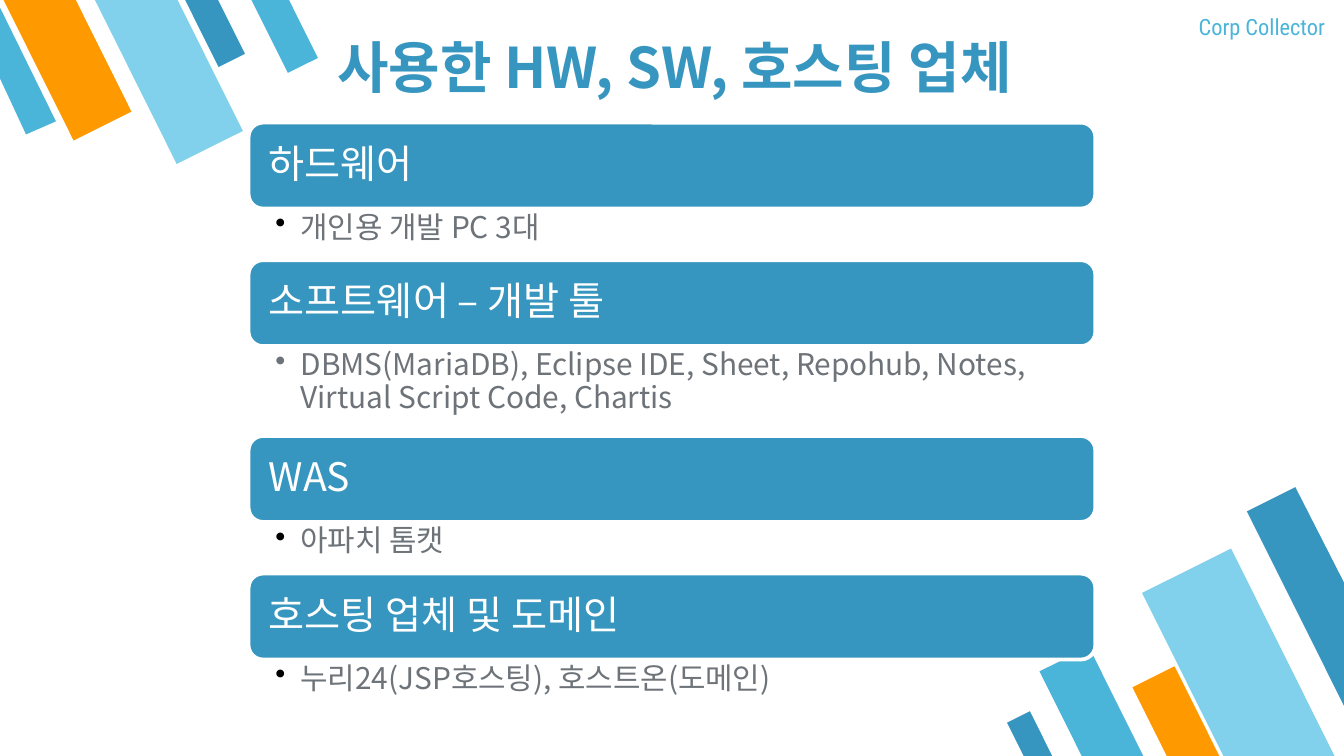
from lxml import etree
from pptx import Presentation
from pptx.dml.color import RGBColor
from pptx.enum import shapes, text
from pptx.oxml import ns
from pptx.util import Pt

BLUE = RGBColor(0x37, 0x96, 0xBF)
SKY = RGBColor(0x4B, 0xB5, 0xD9)
PALE = RGBColor(0x81, 0xD1, 0xEC)
ORANGE = RGBColor(0xFF, 0x99, 0x00)
GREY = RGBColor(0x6D, 0x73, 0x78)
WHITE = RGBColor(0xFF, 0xFF, 0xFF)
BLACK = RGBColor(0x00, 0x00, 0x00)
SANS = "Noto Sans CJK KR"


def paint(sp, color):
    """Give a shape a plain fill without outline or shadow."""
    sp.shadow.inherit = False
    sp.fill.solid()
    sp.fill.fore_color.rgb = color
    sp.line.fill.background()


def write(sp, words, size, color, font=SANS, bold=False, insets=(7.2,) * 4,
          anchor=text.MSO_ANCHOR.TOP, align=text.PP_ALIGN.LEFT):
    """Put one formatted paragraph in a shape; insets run left, top, right, bottom."""
    tf = sp.text_frame
    frame = {"word_wrap": True, "auto_size": text.MSO_AUTO_SIZE.NONE, "vertical_anchor": anchor}
    for name, value in frame.items():
        setattr(tf, name, value)
    for side, inset in zip(("left", "top", "right", "bottom"), insets):
        setattr(tf, "margin_" + side, Pt(inset))
    p = tf.paragraphs[0]
    p.alignment = align
    r = p.add_run()
    r.text = words
    for name, value in {"name": font, "size": Pt(size), "bold": bold}.items():
        setattr(r.font, name, value)
    r.font.color.rgb = color
    etree.SubElement(r.font._element, ns.qn("a:ea"), typeface=font)
    return p


prs = Presentation()
prs.slide_width, prs.slide_height = Pt(720), Pt(405)
s = prs.slides.add_slide(prs.slide_layouts[5])

# Slanted bars in two corners: left, top, width, height, rotation, colour
bars = [
    (107.3, -5.8, 15.8, 40.3, 333.5, BLUE),
    (18.7, -13, 34.6, 85, 333.5, ORANGE),
    (70.6, -14.4, 39.6, 98.6, 333.5, PALE),
    (143.3, -7.2, 18, 44.6, 333.5, SKY),
    (571.7, 349.2, 29.5, 73.4, 153.5, SKY),
    (638.6, 298.8, 53.3, 132.5, 153.5, PALE),
    (619.2, 359.3, 25.2, 61.9, 153.5, ORANGE),
    (546.5, 382.3, 13.7, 34.6, 153.5, BLUE),
]
for *box, angle, color in bars:
    sp = s.shapes.add_shape(shapes.MSO_SHAPE.FLOWCHART_MANUAL_INPUT, *map(Pt, box))
    sp.rotation = angle
    sp._element.spPr.find(ns.qn("a:xfrm")).set("flipH", "1")
    paint(sp, color)

# Bars cut off by the slide edge
edge_bars = [
    (SKY, [(14.4, 72), (30.2, 64.8), (0, 4.3), (0, 42.5)]),
    (BLUE, [(694, 260.6), (668.2, 273.6), (720, 378), (720, 312.5)]),
]
for color, points in edge_bars:
    builder = s.shapes.build_freeform(*points[0], scale=Pt(1))
    builder.add_line_segments(points[1:], close=True)
    paint(builder.convert_to_shape(), color)

title = s.shapes.title
title.left, title.top, title.width, title.height = Pt(173.5), Pt(7.2), Pt(453.6), Pt(53.3)
write(title, "사용한 HW, SW, 호스팅 업체", 30, BLUE, bold=True, anchor=text.MSO_ANCHOR.BOTTOM)

# Stacked sections: heading, detail, detail height, bullet colour
LEFT, WIDTH, HEAD = 133.2, 453.6, 46
sections = [
    ("하드웨어", "개인용 개발 PC 3대", 27.7, BLACK),
    ("소프트웨어 – 개발 툴",
     "DBMS(MariaDB), Eclipse IDE, Sheet, Repohub, Notes, Virtual Script Code, Chartis",
     48.2, GREY),
    ("WAS", "아파치 톰캣", 27.7, BLACK),
    ("호스팅 업체 및 도메인", "누리24(JSP호스팅), 호스트온(도메인)", 27.7, BLACK),
]
top = 65.7
for heading, detail, height, bullet_color in sections:
    sp = s.shapes.add_shape(shapes.MSO_SHAPE.ROUNDED_RECTANGLE,
                            Pt(LEFT), Pt(top), Pt(WIDTH), Pt(HEAD))
    paint(sp, BLUE)
    sp.line.color.rgb = WHITE
    sp.line.width = Pt(2)
    p = write(sp, heading, 21, WHITE, insets=(8.6, 6.5, 8.6, 6.5), anchor=text.MSO_ANCHOR.MIDDLE)
    p.line_spacing = 0.9
    top += HEAD

    sp = s.shapes.add_textbox(Pt(LEFT), Pt(top), Pt(WIDTH), Pt(height))
    p = write(sp, detail, 16, GREY, insets=(14.4, 2.2, 11.5, 2.2))
    p.line_spacing = 0.9
    pPr = p._p.get_or_add_pPr()
    pPr.set("marL", str(Pt(13.5)))
    pPr.set("indent", str(Pt(-13.5)))
    bullet = etree.SubElement(pPr, ns.qn("a:buClr"))
    etree.SubElement(bullet, ns.qn("a:srgbClr"), val=str(bullet_color))
    etree.SubElement(pPr, ns.qn("a:buChar"), char="•")
    top += height

label = s.shapes.add_textbox(Pt(627), Pt(0), Pt(90), Pt(31))
write(label, "Corp Collector", 12, SKY, font="Roboto Condensed", align=text.PP_ALIGN.RIGHT)

prs.save("out.pptx")
